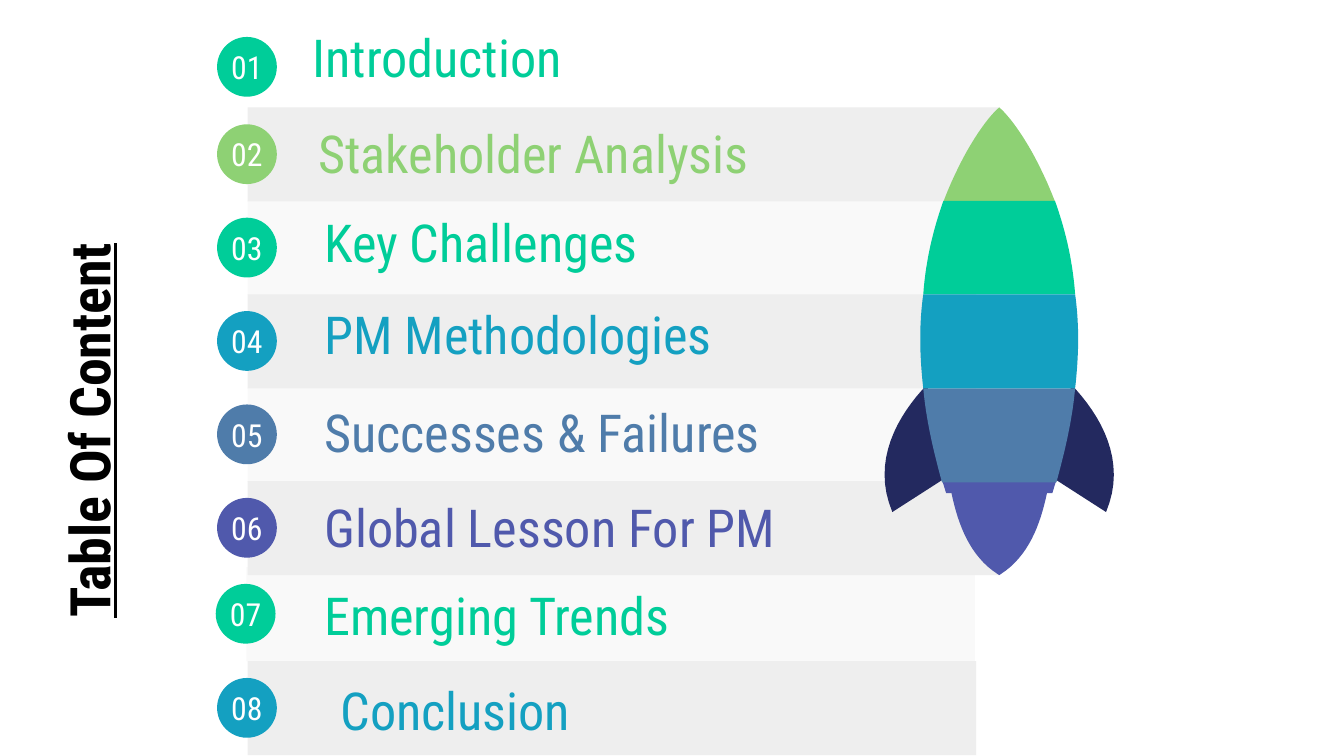
from collections import namedtuple
from dataclasses import dataclass

from lxml import etree
from pptx import Presentation
from pptx.dml.color import RGBColor
from pptx.enum.shapes import MSO_SHAPE
from pptx.enum.text import MSO_ANCHOR, PP_ALIGN
from pptx.oxml.ns import qn
from pptx.util import Inches, Pt

OVAL = MSO_SHAPE.OVAL
RECT = MSO_SHAPE.RECTANGLE
MIDDLE = MSO_ANCHOR.MIDDLE
LEFT, CENTER = PP_ALIGN.LEFT, PP_ALIGN.CENTER


@dataclass(frozen=True)
class Theme:
    font: str = "Roboto Condensed"
    title: int = 30
    heading: int = 28
    number: int = 17
    black: str = "000000"
    white: str = "FFFFFF"
    band: str = "EEEEEE"
    band_alpha: int = 31
    green: str = "00CD99"
    lime: str = "8ED174"
    cyan: str = "14A0C1"
    steel: str = "4F7CAA"
    violet: str = "5059AC"
    navy: str = "23295F"


T = Theme()

WIDTH, HEIGHT = 100, 56.25
UNITS_PER_INCH = 10
BAND_X, BAND_H, BADGE = 18.43, 7, 4.45
FIRST_TOP, PITCH, BADGE_DROP = 1.05, 6.95, 1.25
BAND_W, WIDE_BAND_W = 54.2, 55.9
AXIS, CURVE_STEPS = 74.35, 16

Row = namedtuple("Row", "text color label_box band_w alpha dx dy")
ROWS = [
    Row("Introduction", T.green, (22.25, 3.1, 34.9, 2.2), 0, 100, 0, 0.45),
    Row("Stakeholder Analysis", T.lime, (22.7, 8.75, 38.3, 5.2), WIDE_BAND_W, 100, 0, 0),
    Row("Key Challenges", T.green, (23.15, 16.9, 34.9, 2.2), BAND_W, T.band_alpha, 0, 0),
    Row("PM Methodologies", T.cyan, (23.15, 23.7, 34.9, 2.2), BAND_W, 100, 0, 0),
    Row("Successes & Failures", T.steel, (23.15, 31, 34.9, 2.2), BAND_W, T.band_alpha, 0, 0),
    Row("Global Lesson For PM", T.violet, (23.15, 38.15, 41.7, 2.1), WIDE_BAND_W, 100, 0, 0),
    Row("Emerging Trends", T.green, (23.15, 45.35, 53.7, 0.8), BAND_W, T.band_alpha, -0.1, -0.55),
    Row("Conclusion", T.cyan, (24.35, 51.7, 34.9, 2.2), BAND_W, 100, 0, -0.5),
]

FIN = [(69, 28.6), ((66.8, 30.9), (64.8, 34.3), (66.4, 38.1)),
       (70.6, 35.4), ((69.4, 32.2), (69, 28.6), (69, 28.6))]

HULL = [
    (T.violet, [(70.1, 35.8), ((70.2, 36), (70.3, 36.4), (70.4, 36.7)), (70.8, 36.7),
                ((71.3, 39.1), (72.2, 41.4), (74.2, 42.7)), (AXIS, 42.8)]),
    (T.steel, [(68.7, 28.9), ((68.9, 31.1), (69.4, 33.4), (70.1, 35.9))]),
    (T.lime, [(AXIS, 8), ((73.5, 8.7), (71.7, 11.1), (70.2, 15))]),
    (T.green, [(70.2, 14.95), ((69.5, 16.9), (68.9, 19.2), (68.7, 21.9))]),
    (T.cyan, [(68.7, 21.9), ((68.4, 24), (68.4, 26.3), (68.7, 28.9))]),
]


def u(n):
    return Inches(n / UNITS_PER_INCH)


def paint(sp, color, alpha=100):
    sp.shadow.inherit = False
    sp.fill.solid()
    sp.fill.fore_color.rgb = RGBColor.from_string(color)
    sp.line.fill.background()
    if alpha < 100:
        clr = sp.fill._xPr.find(f"{qn('a:solidFill')}/{qn('a:srgbClr')}")
        etree.SubElement(clr, qn("a:alpha")).set("val", str(alpha * 1000))


def write(sp, text, size, color, align=LEFT, inset=1, wrap=True, strong=False):
    tf = sp.text_frame
    tf.word_wrap = wrap
    tf.vertical_anchor = MIDDLE
    tf.margin_left = tf.margin_right = tf.margin_top = tf.margin_bottom = u(inset)
    p = tf.paragraphs[0]
    p.alignment = align
    r = p.add_run()
    r.text = text
    r.font.name = T.font
    r.font.size = Pt(size)
    r.font.color.rgb = RGBColor.from_string(color)
    if strong:
        r.font.bold = r.font.underline = True


def add_label(s, box, text, size, color, strong=False):
    sp = s.shapes.add_textbox(*map(u, box))
    write(sp, text, size, color, strong=strong)
    return sp


def add_band(s, x, y, w, alpha):
    paint(s.shapes.add_shape(RECT, u(x), u(y), u(w), u(BAND_H)), T.band, alpha)


def add_badge(s, x, y, number, color):
    sp = s.shapes.add_shape(OVAL, u(x), u(y), u(BADGE), u(BADGE))
    paint(sp, color)
    write(sp, f"{number:02d}", T.number, T.white, CENTER, inset=0, wrap=False)


def add_row(s, i, row):
    x, y = BAND_X + row.dx, FIRST_TOP + i * PITCH + row.dy
    if row.band_w:
        add_band(s, x, y, row.band_w, row.alpha)
    add_badge(s, x - BADGE / 2 - 0.05, y + BADGE_DROP, i + 1, row.color)
    add_label(s, row.label_box, row.text, T.heading, row.color)


def bezier(p0, p1, p2, p3):
    for i in range(1, CURVE_STEPS + 1):
        t = i / CURVE_STEPS
        k = ((1 - t) ** 3, 3 * t * (1 - t) ** 2, 3 * t ** 2 * (1 - t), t ** 3)
        yield tuple(sum(a * b for a, b in zip(k, axis))
                    for axis in zip(p0, p1, p2, p3))


def trace(steps):
    points = [steps[0]]
    for step in steps[1:]:
        if len(step) == 3:
            points.extend(bezier(points[-1], *step))
        else:
            points.append(step)
    return points


def mirror(points):
    return [(2 * AXIS - x, y) for x, y in points]


def add_outline(s, points, color):
    start, *rest = [(u(x), u(y)) for x, y in points]
    fb = s.shapes.build_freeform(*start)
    fb.add_line_segments(rest, close=True)
    paint(fb.convert_to_shape(), color)


def add_rocket(s):
    fin = trace(FIN)
    for side in (fin, mirror(fin)):
        add_outline(s, side, T.navy)
    for color, steps in HULL:
        edge = trace(steps)
        add_outline(s, edge + mirror(edge)[::-1], color)


def main():
    prs = Presentation()
    prs.slide_width, prs.slide_height = u(WIDTH), u(HEIGHT)
    s = prs.slides.add_slide(prs.slide_layouts[6])
    for i, row in enumerate(ROWS):
        add_row(s, i, row)
    add_rocket(s)
    title = add_label(s, (-17.65, 20.1, 48.4, 5.3), "Table Of Content",
                      T.title, T.black, strong=True)
    title.rotation = 270
    prs.save("out.pptx")


if __name__ == "__main__":
    main()
